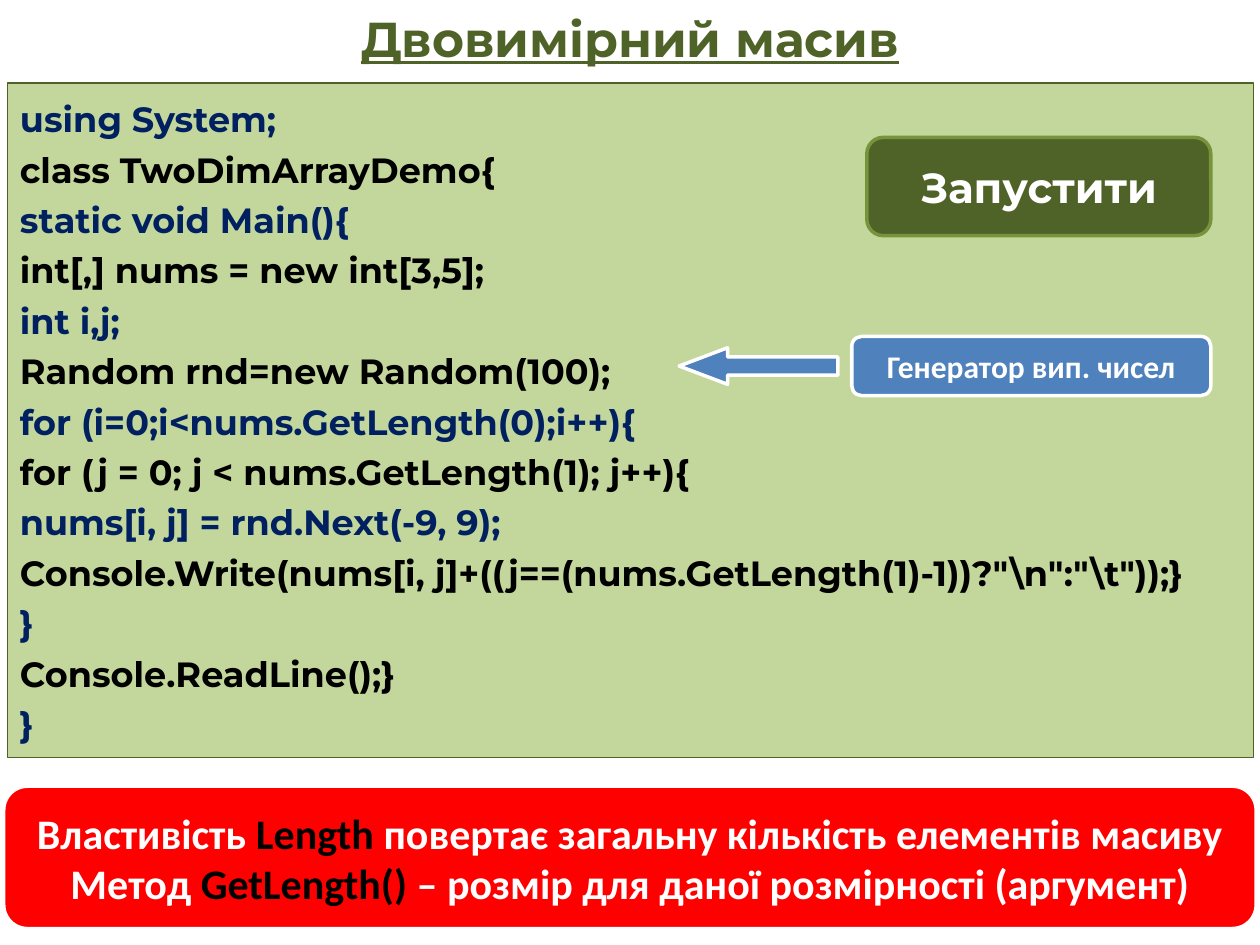
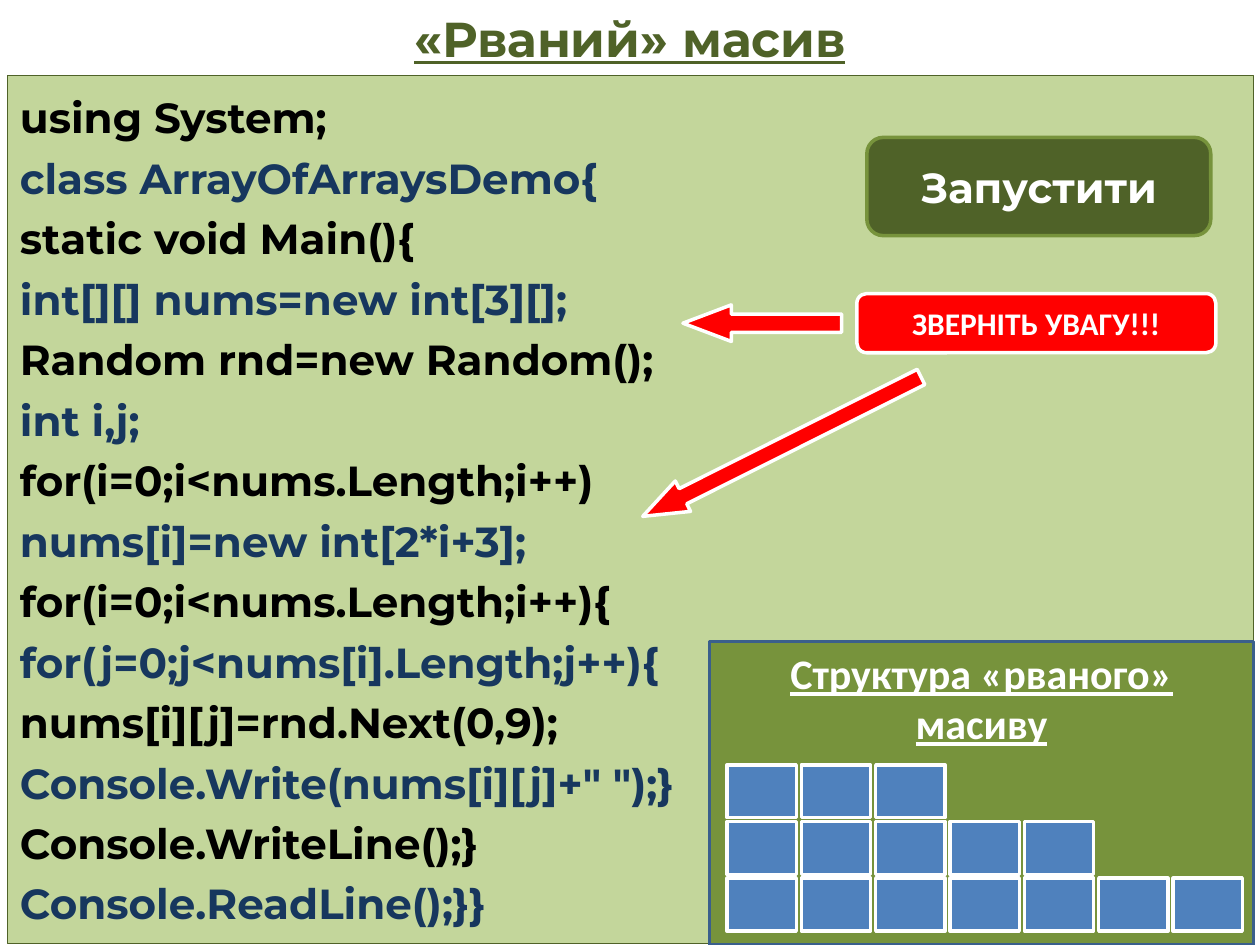
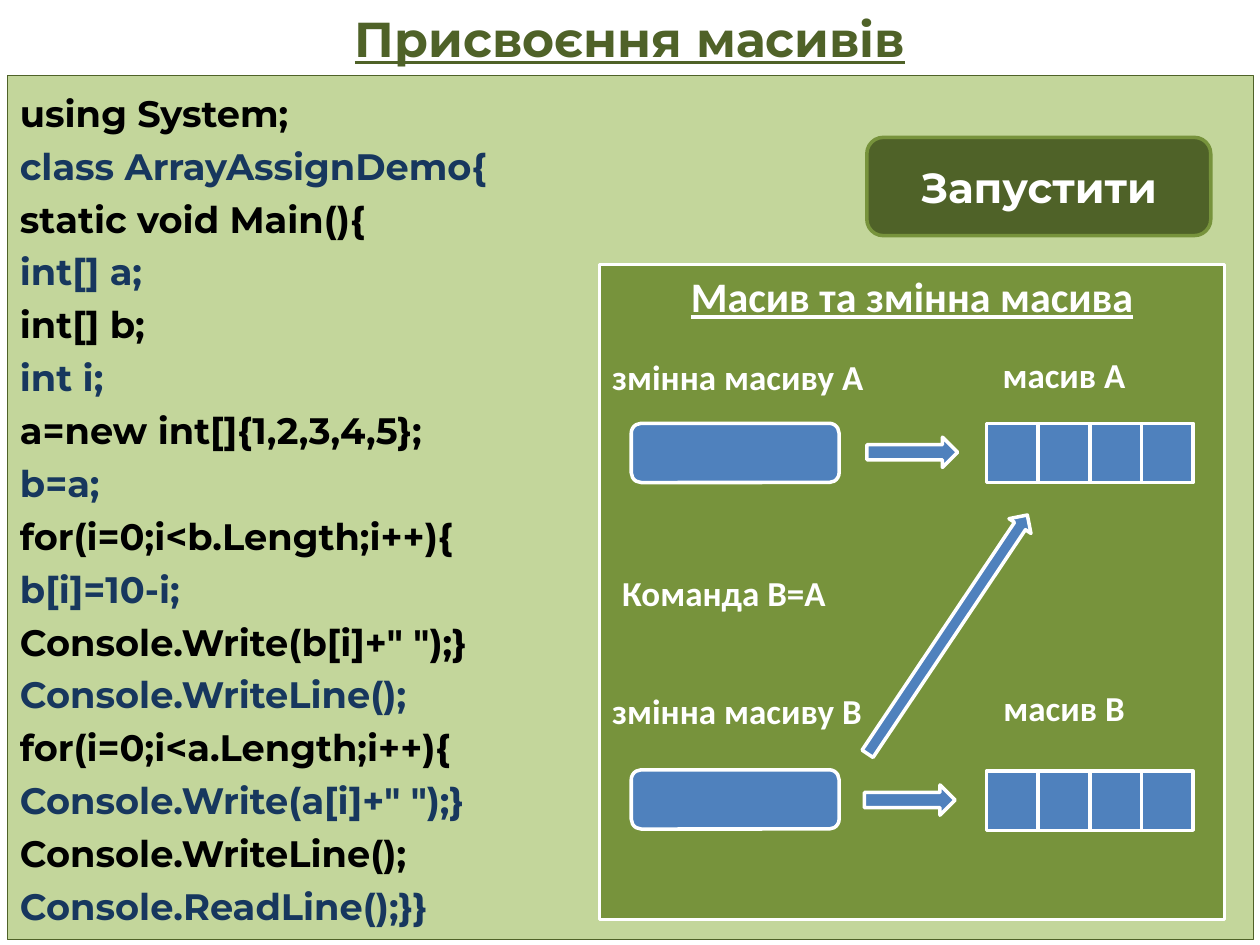
from lxml import etree
from pptx import Presentation
from pptx.dml.color import RGBColor
from pptx.enum.shapes import MSO_SHAPE
from pptx.enum.text import MSO_ANCHOR, MSO_AUTO_SIZE, PP_ALIGN
from pptx.util import Inches, Pt

WHITE = RGBColor(0xFF, 0xFF, 0xFF)
BLACK = RGBColor(0x00, 0x00, 0x00)
RED = RGBColor(0xFF, 0x00, 0x00)
BLUE = RGBColor(0x4F, 0x81, 0xBD)
FRAME_BLUE = RGBColor(0x3A, 0x5F, 0x8C)
NAVY = RGBColor(0x00, 0x20, 0x60)
DARK_BLUE = RGBColor(0x17, 0x37, 0x5E)
DARK_GREEN = RGBColor(0x4F, 0x62, 0x28)
GREEN = RGBColor(0x77, 0x93, 0x3C)
LIGHT_GREEN = RGBColor(0xC3, 0xD6, 0x9B)

CODE_FONT = "Montserrat"
NOTE_FONT = "Calibri"
RECT = MSO_SHAPE.RECTANGLE
ROUNDED = MSO_SHAPE.ROUNDED_RECTANGLE
ARROW = MSO_SHAPE.RIGHT_ARROW
LONG_HEAD = (0.5, 1.322)

TWO_DIM_CODE = r'''using System;
class TwoDimArrayDemo{
static void Main(){
int[,] nums = new int[3,5];
int i,j;
Random rnd=new Random(100);
for (i=0;i<nums.GetLength(0);i++){
for (j = 0; j < nums.GetLength(1); j++){
nums[i, j] = rnd.Next(-9, 9);
Console.Write(nums[i, j]+((j==(nums.GetLength(1)-1))?"\n":"\t"));}
}
Console.ReadLine();}
}'''

JAGGED_CODE = '''using System;
class ArrayOfArraysDemo{
static void Main(){
int[][] nums=new int[3][];
Random rnd=new Random();
int i,j;
for(i=0;i<nums.Length;i++)
nums[i]=new int[2*i+3];
for(i=0;i<nums.Length;i++){
for(j=0;j<nums[i].Length;j++){
nums[i][j]=rnd.Next(0,9);
Console.Write(nums[i][j]+" ");}
Console.WriteLine();}
Console.ReadLine();}}'''

ASSIGN_CODE = '''using System;
class ArrayAssignDemo{
static void Main(){
int[] a;
int[] b;
int i;
a=new int[]{1,2,3,4,5};
b=a;
for(i=0;i<b.Length;i++){
b[i]=10-i;
Console.Write(b[i]+" ");}
Console.WriteLine();
for(i=0;i<a.Length;i++){
Console.Write(a[i]+" ");}
Console.WriteLine();
Console.ReadLine();}}'''

LENGTH_NOTE = [
    [("Властивість ", WHITE), ("Length ", BLACK),
     ("повертає загальну кількість елементів масиву", WHITE)],
    [("Метод ", WHITE), ("GetLength() ", BLACK),
     ("– розмір для даної розмірності (аргумент)", WHITE)],
]

JAGGED_ROW_LENGTHS = (3, 5, 7)
ASSIGNED_ARRAY_LENGTH = 4

# name, top of the variable label, array label, variable, array, arrow; arrow left
ASSIGN_ROWS = [
    ("A", 2.77, 2.76, 3.36, 3.36, 3.47, 6.88),
    ("B", 5.42, 5.4, 6.11, 6.12, 6.23, 6.86),
]


def inches(box):
    return [Inches(length) for length in box]


def write(shape, paragraphs, size=24, font=NOTE_FONT, underline=False,
          align=PP_ALIGN.CENTER, anchor=MSO_ANCHOR.MIDDLE, spacing=None, grow=False):
    """Fill a shape with bold text; each paragraph is a list of (text, colour) runs."""
    frame = shape.text_frame
    frame.word_wrap = True
    frame.auto_size = MSO_AUTO_SIZE.SHAPE_TO_FIT_TEXT if grow else MSO_AUTO_SIZE.NONE
    frame.vertical_anchor = anchor
    for index, runs in enumerate(paragraphs):
        paragraph = frame.add_paragraph() if index else frame.paragraphs[0]
        paragraph.alignment = align
        if spacing:
            paragraph.line_spacing = spacing
        for words, color in runs:
            run = paragraph.add_run()
            run.text = words
            run.font.name = font
            run.font.size = Pt(size)
            run.font.bold = True
            run.font.underline = underline
            run.font.color.rgb = color


def add_shape(slide, kind, box, fill=BLUE, line=WHITE, line_width=2,
              rotation=0, adjustments=()):
    shape = slide.shapes.add_shape(kind, *inches(box))
    shape.shadow.inherit = False
    shape.fill.solid()
    shape.fill.fore_color.rgb = fill
    shape.line.color.rgb = line
    shape.line.width = Pt(line_width)
    shape.rotation = rotation
    for index, value in enumerate(adjustments):
        shape.adjustments[index] = value
    return shape


def add_label(slide, words, box, align=PP_ALIGN.LEFT):
    label = slide.shapes.add_textbox(*inches(box))
    write(label, [[(words, WHITE)]], size=20, align=align,
          anchor=MSO_ANCHOR.TOP, grow=True)


def add_callout(slide, words, box, fill):
    write(add_shape(slide, ROUNDED, box, fill), [[(words, WHITE)]], size=18)


def add_diagram_panel(slide, heading, box, line):
    panel = add_shape(slide, RECT, box, GREEN, line)
    write(panel, [[(heading, WHITE)]], underline=True, anchor=MSO_ANCHOR.TOP)


def add_cells(slide, count, left, top, pitch, width, height):
    for column in range(count):
        add_shape(slide, RECT, (left + column * pitch, top, width, height))


def add_code_slide(presentation, title, code, top, height, size, colors):
    """Add a slide with its title, the listing in alternating colours and the run button."""
    slide = presentation.slides.add_slide(presentation.slide_layouts[5])
    heading = slide.shapes.title
    heading.left, heading.top, heading.width, heading.height = inches((0, 0, 10, 0.6))
    write(heading, [[(title, DARK_GREEN)]], size=28, font=CODE_FONT, underline=True)

    panel = add_shape(slide, RECT, (0.06, top, 9.89, height), LIGHT_GREEN, DARK_GREEN, 0.75)
    lines = [[(line, colors[index % 2])] for index, line in enumerate(code.splitlines())]
    write(panel, lines, size=size, font=CODE_FONT, align=PP_ALIGN.LEFT,
          anchor=MSO_ANCHOR.TOP, spacing=1.2, grow=True)

    button = add_shape(slide, ROUNDED, (6.88, 1.09, 2.73, 0.78), DARK_GREEN, GREEN)
    write(button, [[("Запустити", WHITE)]], font=CODE_FONT)
    return slide


def build_two_dim(presentation):
    slide = add_code_slide(presentation, "Двовимірний масив", TWO_DIM_CODE,
                           0.66, 5.35, 20, (NAVY, BLACK))
    write(add_shape(slide, ROUNDED, (0.03, 6.24, 9.94, 1.13), RED), LENGTH_NOTE)
    add_callout(slide, "Генератор вип. чисел", (6.76, 2.67, 2.85, 0.47), BLUE)
    add_shape(slide, ARROW, (5.39, 2.76, 1.26, 0.29), rotation=180, adjustments=LONG_HEAD)


def build_jagged(presentation):
    slide = add_code_slide(presentation, "«Рваний» масив", JAGGED_CODE,
                           0.6, 6.89, 24, (BLACK, DARK_BLUE))
    add_callout(slide, "ЗВЕРНІТЬ УВАГУ!!!", (6.8, 2.33, 2.85, 0.47), RED)
    for box, rotation in (((5.42, 2.42, 1.26, 0.29), 180), ((4.97, 3.41, 2.47, 0.27), 153.4)):
        add_shape(slide, ARROW, box, RED, rotation=rotation, adjustments=LONG_HEAD)

    add_diagram_panel(slide, "Структура «рваного» масиву", (5.63, 5.09, 4.32, 2.41), FRAME_BLUE)
    for row, count in enumerate(JAGGED_ROW_LENGTHS):
        add_cells(slide, count, 5.77, 6.07 + row * 0.45, pitch=0.59, width=0.55, height=0.42)


def build_assignment(presentation):
    slide = add_code_slide(presentation, "Присвоєння масивів", ASSIGN_CODE,
                           0.6, 6.86, 21, (BLACK, DARK_BLUE))
    add_diagram_panel(slide, "Масив та змінна масива", (4.76, 2.1, 4.96, 5.2), WHITE)
    for (name, variable_label_top, array_label_top, variable_top,
         array_top, arrow_top, arrow_left) in ASSIGN_ROWS:
        add_shape(slide, ROUNDED, (5.01, variable_top, 1.65, 0.47))
        add_cells(slide, ASSIGNED_ARRAY_LENGTH, 7.83, array_top,
                  pitch=0.41, width=0.41, height=0.47)
        add_shape(slide, ARROW, (arrow_left, arrow_top, 0.72, 0.24))
        add_label(slide, f"змінна масиву {name}", (4.76, variable_label_top, 2.21, 0.44))
        add_label(slide, f"масив {name}", (7.34, array_label_top, 2.21, 0.44),
                  PP_ALIGN.CENTER)
    add_label(slide, "Команда B=A", (4.84, 4.49, 1.87, 0.44))
    add_shape(slide, ARROW, (6.38, 4.93, 2.28, 0.21), rotation=303.8)


def main():
    presentation = Presentation()
    presentation.slide_width = Inches(10)
    presentation.slide_height = Inches(7.5)
    build_two_dim(presentation)
    build_jagged(presentation)
    build_assignment(presentation)
    presentation.save("out.pptx")


if __name__ == "__main__":
    main()
